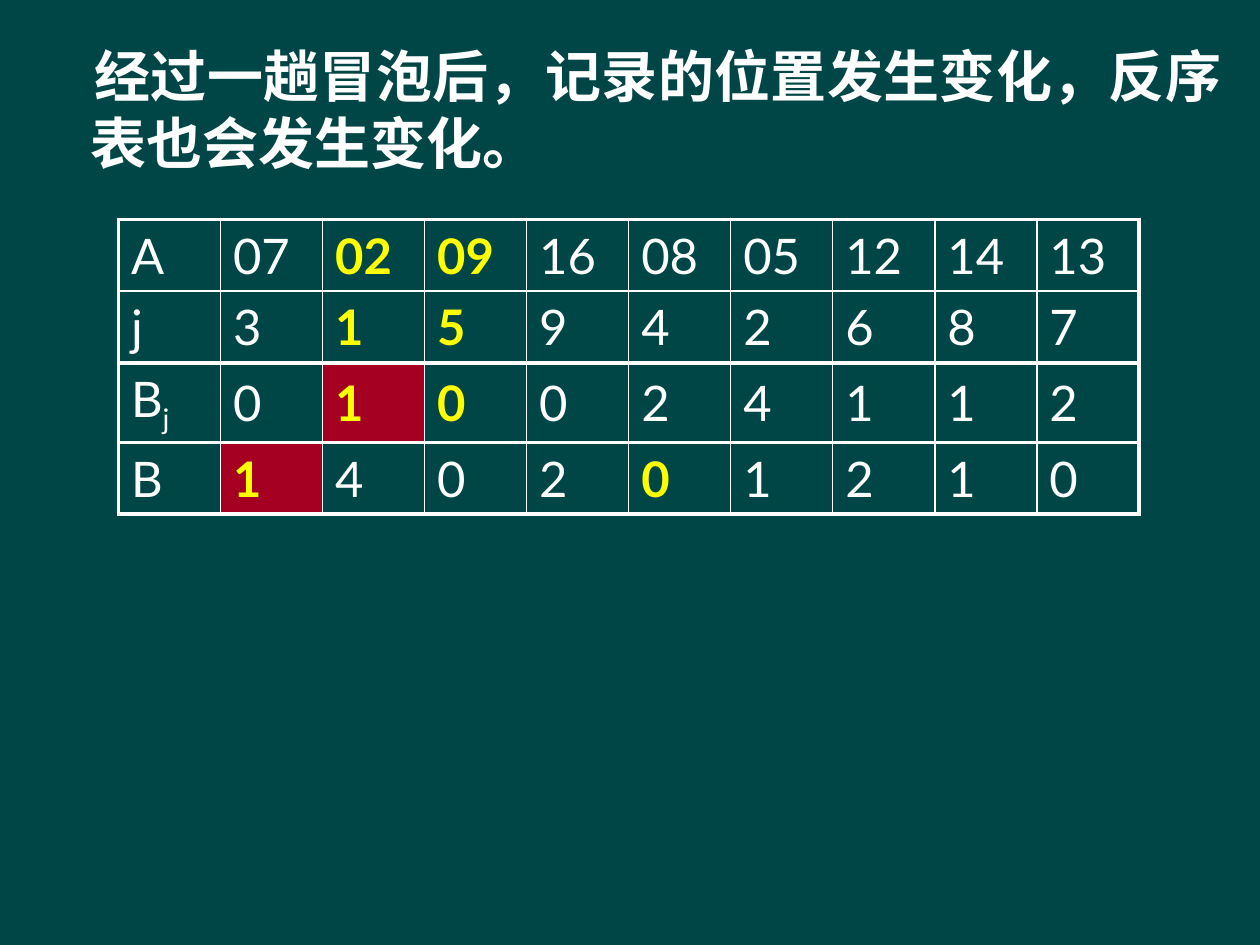
from dataclasses import dataclass

from lxml import etree
from pptx import Presentation
from pptx.dml.color import RGBColor
from pptx.enum.text import MSO_ANCHOR, PP_ALIGN
from pptx.oxml.ns import qn
from pptx.util import Inches, Pt

MIDDLE = MSO_ANCHOR.MIDDLE
JUSTIFY = PP_ALIGN.JUSTIFY


@dataclass(frozen=True)
class Theme:
    background: RGBColor = RGBColor.from_string("004646")
    text: RGBColor = RGBColor.from_string("FFFFFF")
    accent: RGBColor = RGBColor.from_string("FFFF00")
    marked: RGBColor = RGBColor.from_string("A50021")
    statement_font: str = "Times New Roman"
    table_font: str = "Lato"
    statement_size: int = 32
    table_size: int = 28
    thin: float = 1
    thick: float = 2.25


THEME = Theme()
STATEMENT = "经过一趟冒泡后，记录的位置发生变化，反序表也会发生变化。"
ROWS = [
    ["A", "07", "02", "09", "16", "08", "05", "12", "14", "13"],
    ["j", "3", "1", "5", "9", "4", "2", "6", "8", "7"],
    ["B", "0", "1", "0", "0", "2", "4", "1", "1", "2"],
    ["B", "1", "4", "0", "2", "0", "1", "2", "1", "0"],
]
SUBSCRIPTS = {(2, 0): "j"}
ACCENTED = {(0, 2), (0, 3), (1, 2), (1, 3), (2, 2), (2, 3), (3, 1), (3, 5)}
MARKED = {(2, 2), (3, 1)}
THICK_ROW_EDGES = {0, 2, 3, 4}
THICK_COLUMN_EDGES = {0, 10}
COLUMN_WIDTH = 0.81
ROW_HEIGHT = 0.57


def add_run(paragraph, text, color, **format_values):
    run = paragraph.add_run()
    run.text = text
    for name, value in format_values.items():
        setattr(run.font, name, value)
    run.font.color.rgb = color
    return run


def add_statement(slide):
    shape = slide.shapes.add_textbox(Inches(0.24), Inches(0.28), Inches(9.56), Inches(6.89))
    shape.text_frame.word_wrap = True
    paragraph = shape.text_frame.paragraphs[0]
    paragraph.alignment = JUSTIFY
    properties = paragraph._p.get_or_add_pPr()
    for name, value in {"marL": 0.38, "indent": 0.03}.items():
        properties.set(name, str(Inches(value)))
    add_run(paragraph, STATEMENT, THEME.text, name=THEME.statement_font,
            size=Pt(THEME.statement_size), bold=True)


def edge_width(edge, thick_edges):
    return THEME.thick if edge in thick_edges else THEME.thin


def set_borders(cell, row, column):
    widths = {
        "a:lnL": edge_width(column, THICK_COLUMN_EDGES),
        "a:lnR": edge_width(column + 1, THICK_COLUMN_EDGES),
        "a:lnT": edge_width(row, THICK_ROW_EDGES),
        "a:lnB": edge_width(row + 1, THICK_ROW_EDGES),
    }
    properties = cell._tc.get_or_add_tcPr()
    for tag, width in widths.items():
        line = etree.SubElement(properties, qn(tag), w=str(Pt(width)))
        fill = etree.SubElement(line, qn("a:solidFill"))
        etree.SubElement(fill, qn("a:srgbClr"), val=str(THEME.text))


def fill_cell(cell, row, column):
    position = (row, column)
    accented = position in ACCENTED
    color = THEME.accent if accented else THEME.text
    style = {"name": THEME.table_font, "size": Pt(THEME.table_size), "bold": accented}
    paragraph = cell.text_frame.paragraphs[0]
    cell.vertical_anchor = MIDDLE
    add_run(paragraph, ROWS[row][column], color, **style)
    if position in SUBSCRIPTS:
        run = add_run(paragraph, SUBSCRIPTS[position], color, **style)
        run._r.get_or_add_rPr().set("baseline", "-25000")
    set_borders(cell, row, column)
    if position in MARKED:
        cell.fill.solid()
        cell.fill.fore_color.rgb = THEME.marked
    else:
        cell.fill.background()


def add_inversion_table(slide):
    row_count, column_count = len(ROWS), len(ROWS[0])
    table = slide.shapes.add_table(
        row_count, column_count, Inches(0.94), Inches(1.74),
        Inches(COLUMN_WIDTH * column_count), Inches(ROW_HEIGHT * row_count)).table
    table.first_row = False
    table.horz_banding = False
    for column in table.columns:
        column.width = Inches(COLUMN_WIDTH)
    for row_index, row in enumerate(table.rows):
        row.height = Inches(ROW_HEIGHT)
        for column_index, cell in enumerate(row.cells):
            fill_cell(cell, row_index, column_index)


def main():
    presentation = Presentation()
    presentation.slide_width = Inches(10)
    presentation.slide_height = Inches(7.5)
    slide = presentation.slides.add_slide(presentation.slide_layouts[6])
    slide.background.fill.solid()
    slide.background.fill.fore_color.rgb = THEME.background
    add_statement(slide)
    add_inversion_table(slide)
    presentation.save("out.pptx")


if __name__ == "__main__":
    main()
